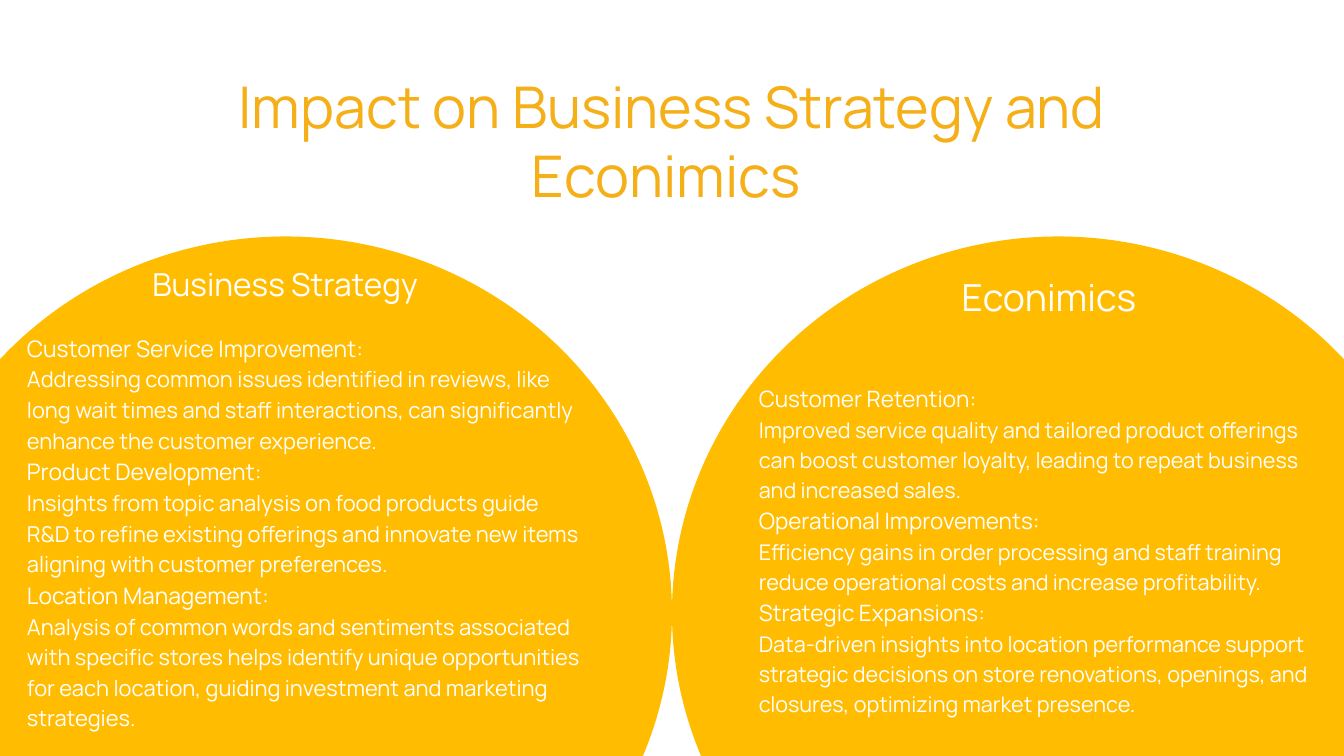
"""Build the slide on business strategy and economics."""
from pptx import Presentation
from pptx import util as u
from pptx.dml.color import RGBColor
from pptx.enum import shapes, text

HUES = {"disc": "FFBC00", "title": "F5AF19", "text": "FFFFFF"}
FACE = "Manrope"
CENTER = text.PP_ALIGN.CENTER
LEFT = text.PP_ALIGN.LEFT

PLANS = [
    ("Customer Service Improvement:",
     "Addressing common issues identified in reviews, like long wait times and staff "
     "interactions, can significantly enhance the customer experience."),
    ("Product Development:",
     "Insights from topic analysis on food products guide R&D to refine existing "
     "offerings and innovate new items aligning with customer preferences."),
    ("Location Management:",
     "Analysis of common words and sentiments associated with specific stores helps "
     "identify unique opportunities for each location, guiding investment and "
     "marketing strategies."),
]
GAINS = [
    ("Customer Retention:",
     "Improved service quality and tailored product offerings can boost customer "
     "loyalty, leading to repeat business and increased sales."),
    ("Operational Improvements:",
     "Efficiency gains in order processing and staff training reduce operational "
     "costs and increase profitability."),
    ("Strategic Expansions:",
     "Data-driven insights into location performance support strategic decisions on "
     "store renovations, openings, and closures, optimizing market presence."),
]


def cms(*sizes):
    """Turn numbers into centimetre lengths."""
    return [u.Cm(size) for size in sizes]


def add_disc(slide, left):
    """Draw one large disc that runs off the foot of the slide."""
    disc = slide.shapes.add_shape(shapes.MSO_SHAPE.OVAL, *cms(left, 8.94, 29.21, 28.45))
    disc.shadow.inherit = False
    disc.fill.solid()
    disc.fill.fore_color.rgb = RGBColor.from_string(HUES["disc"])
    disc.line.fill.background()


def set_text(shape, lines, hue, lead, align):
    """Fill a shape with (words, size) lines at a line pitch of lead times size."""
    frame = shape.text_frame
    frame.margin_left = frame.margin_right = frame.margin_top = frame.margin_bottom = 0
    frame.word_wrap = True
    frame.auto_size = text.MSO_AUTO_SIZE.NONE
    frame.vertical_anchor = text.MSO_ANCHOR.TOP
    frame.text = "\n".join(words for words, _ in lines)
    for para, (_, size) in zip(frame.paragraphs, lines):
        para.alignment = align
        para.line_spacing = u.Pt(lead * size)
        para.space_before = u.Pt(0)
        para.font.name = FACE
        para.font.size = u.Pt(size)
        para.font.color.rgb = RGBColor.from_string(HUES[hue])


def set_title(slide, words):
    """Place and format the title placeholder."""
    title = slide.shapes.title
    title.left, title.top, title.width, title.height = cms(6.38, 2.69, 38.05, 5.33)
    set_text(title, [(words, 61.5)], "title", 1.2, CENTER)


def add_head(slide, box, words, size):
    """Add a centred heading on a disc."""
    shape = slide.shapes.add_textbox(*cms(*box))
    set_text(shape, [(words, size)], "text", 1.2, CENTER)


def add_body(slide, box, points, size):
    """Add points, each a label one point larger than its detail."""
    lines = [line for label, detail in points
             for line in ((label, size + 1), (detail, size))]
    shape = slide.shapes.add_textbox(*cms(*box))
    set_text(shape, lines, "text", 1.4, LEFT)


def main():
    """Build and save the slide."""
    deck = Presentation()
    deck.slide_width, deck.slide_height = cms(50.8, 28.58)
    slide = deck.slides.add_slide(deck.slide_layouts.get_by_name("Title Only"))
    for left in (-3.81, 25.4):
        add_disc(slide, left)
    set_title(slide, "Impact on Business Strategy and Econimics ")
    add_body(slide, (28.68, 14.4, 21.95, 12.62), GAINS, 23.1)
    add_body(slide, (1.02, 12.47, 21.01, 14.99), PLANS, 23.4)
    add_head(slide, (5.08, 10.01, 11.4, 1.52), "Business Strategy", 33.9)
    add_head(slide, (31.37, 10.36, 16.56, 1.78), "Econimics", 39.9)
    deck.save("out.pptx")


if __name__ == "__main__":
    main()
